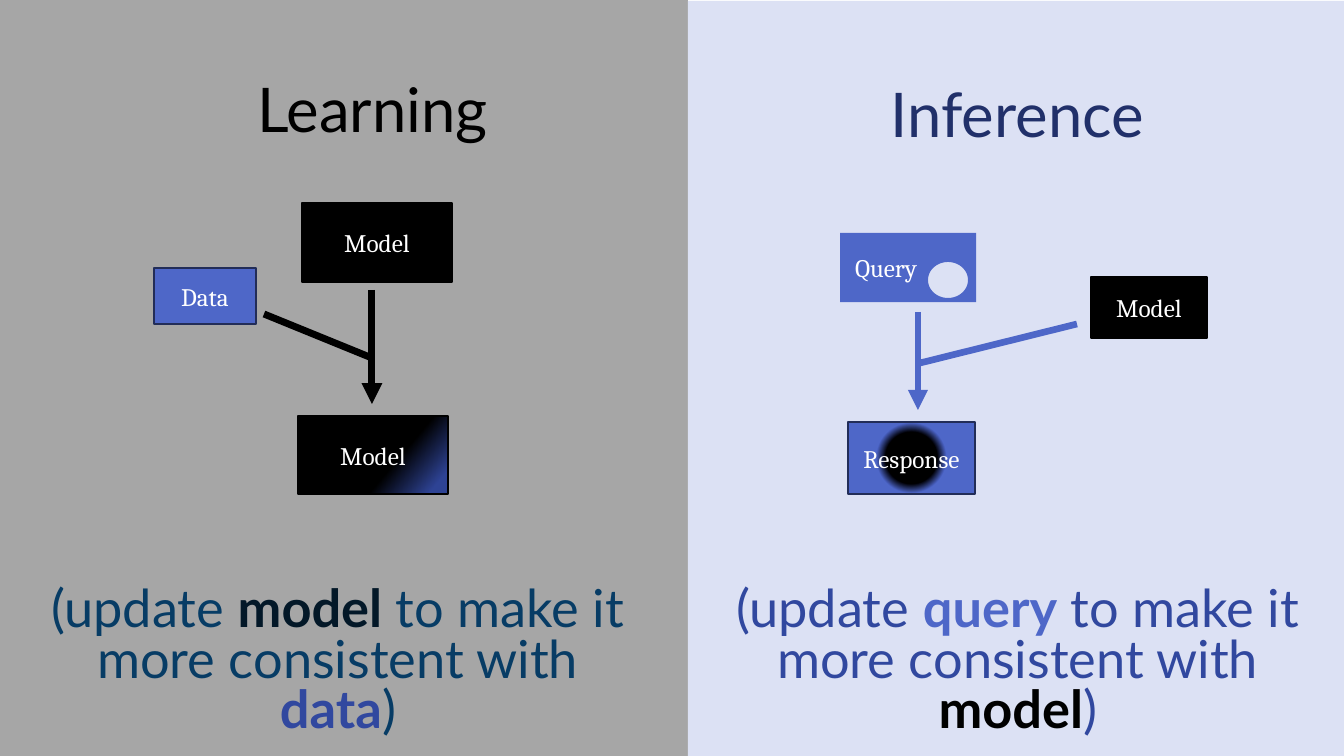
import math

from lxml import etree
from pptx import Presentation
from pptx.dml.color import RGBColor
from pptx.enum.shapes import MSO_CONNECTOR, MSO_SHAPE
from pptx.enum.text import MSO_ANCHOR, PP_ALIGN
from pptx.oxml.ns import qn
from pptx.util import Pt

RECT = MSO_SHAPE.RECTANGLE
STRAIGHT = MSO_CONNECTOR.STRAIGHT
MIDDLE = MSO_ANCHOR.MIDDLE
LEFT, CENTER = PP_ALIGN.LEFT, PP_ALIGN.CENTER

BLACK = RGBColor(0x00, 0x00, 0x00)
WHITE = RGBColor(0xFF, 0xFF, 0xFF)
GREY = RGBColor(0xA6, 0xA6, 0xA6)
PALE = RGBColor(0xDC, 0xE1, 0xF4)
BLUE = RGBColor(0x4E, 0x67, 0xC8)
EDGE = RGBColor(0x22, 0x2D, 0x58)
NAVY = RGBColor(0x21, 0x30, 0x6A)
DEEP = RGBColor(0x2E, 0x43, 0x94)
INDIGO = RGBColor(0x31, 0x48, 0x9F)
TEAL = RGBColor(0x07, 0x3C, 0x65)
INK = RGBColor(0x03, 0x18, 0x28)

HEAD_FONT, BOX_FONT = "Lato", "Cambria"
PX = 914400 / 100.8

PANELS = [((0, 0, 688, 756), GREY), ((688, 1, 656, 755), PALE)]
HEADINGS = [
    ("Learning", (93, 40, 559, 146), BLACK),
    ("Inference", (738, 45, 559, 146), NAVY),
]
BOXES = [
    ("Data", (154, 268, 102, 56), [(0, BLUE)], EDGE),
    ("Model", (302, 203, 150, 79), [(0, BLACK)], BLACK),
    ("Model", (1091, 277, 116, 61), [(0, BLACK)], BLACK),
    ("Model", (298, 416, 150, 78), [(0.63, BLACK), (0.91, DEEP)], BLACK),
    ("Response", (848, 422, 127, 72), [(0.35, BLACK), (0.48, BLUE)], EDGE),
]
RADIAL_BOX = "Response"
QUERY = ("Query", (840, 233, 136, 69))
QUERY_HOLE = (948, 280, 20, 18)
QUERY_INSET = 15
LINES = [
    ((372, 290), (372, 404), BLACK, 5, True),
    ((264, 314), (372, 358), BLACK, 5, False),
    ((918, 312), (918, 410), BLUE, 4.75, True),
    ((1077, 324), (920, 363), BLUE, 4.75, False),
]
CAPTIONS = [
    ((26, 590, 624, 146), TEAL, ("model", INK), ("data", INDIGO)),
    ((706, 590, 624, 146), INDIGO, ("query", BLUE), ("model", BLACK)),
]


def emu(*lengths):
    return [round(v * PX) for v in lengths]


def write(sp, runs, font, size, align=CENTER, spacing=None):
    tf = sp.text_frame
    tf.word_wrap = True
    tf.vertical_anchor = MIDDLE
    p = tf.paragraphs[0]
    p.alignment = align
    if spacing:
        p.line_spacing = spacing
    for text, color, bold in runs:
        r = p.add_run()
        r.text = text
        r.font.name = font
        r.font.size = Pt(size)
        r.font.bold = bold
        r.font.color.rgb = color


def paint(sp, color, edge=None):
    sp.shadow.inherit = False
    sp.fill.solid()
    sp.fill.fore_color.rgb = color
    if edge is None:
        sp.line.fill.background()
    else:
        sp.line.color.rgb = edge
        sp.line.width = Pt(1)


def blend(sp, stops, radial):
    sp.fill.gradient()
    for stop, (position, color) in zip(sp.fill.gradient_stops, stops):
        stop.position = position
        stop.color.rgb = color
    if radial:
        grad = sp._element.spPr.find(qn("a:gradFill"))
        lin = grad.find(qn("a:lin"))
        circle = etree.Element(qn("a:path"), {"path": "circle"})
        etree.SubElement(circle, qn("a:fillToRect"), {side: "50000" for side in "ltrb"})
        grad.replace(lin, circle)
    else:
        sp.fill.gradient_angle = 320


def add_query(s):
    text, (x, y, w, h) = QUERY
    cx, cy, rx, ry = QUERY_HOLE
    corners = [(x + w, y), (x + w, y + h), (x, y + h)]
    angles = [-math.tau * i / 72 for i in range(72)]
    hole = [(cx + rx * math.cos(a), cy + ry * math.sin(a)) for a in angles]
    fb = s.shapes.build_freeform(*emu(x, y))
    fb.add_line_segments([emu(*pt) for pt in corners], close=True)
    fb.move_to(*emu(*hole[0]))
    fb.add_line_segments([emu(*pt) for pt in hole[1:]], close=True)
    sp = fb.convert_to_shape()
    paint(sp, BLUE)
    sp.text_frame.margin_left = emu(QUERY_INSET)[0]
    write(sp, [(text, WHITE, False)], BOX_FONT, 18, LEFT)


def add_line(s, start, end, color, width, arrow):
    c = s.shapes.add_connector(STRAIGHT, *emu(*start, *end))
    c.line.color.rgb = color
    c.line.width = Pt(width)
    if arrow:
        etree.SubElement(c.line._get_or_add_ln(), qn("a:tailEnd"), {"type": "triangle"})
    etree.SubElement(c._element.spPr, qn("a:effectLst"))


def main():
    prs = Presentation()
    prs.slide_width, prs.slide_height = emu(1344, 756)
    s = prs.slides.add_slide(prs.slide_layouts[5])

    for box, color in PANELS:
        paint(s.shapes.add_shape(RECT, *emu(*box)), color)

    title = s.shapes.title
    s.shapes._spTree.append(title._element)
    for i, (text, box, color) in enumerate(HEADINGS):
        sp = s.shapes.add_textbox(0, 0, 0, 0) if i else title
        sp.left, sp.top, sp.width, sp.height = emu(*box)
        write(sp, [(text, color, False)], HEAD_FONT, 44, spacing=0.9)

    for text, box, stops, edge in BOXES:
        sp = s.shapes.add_shape(RECT, *emu(*box))
        paint(sp, stops[0][1], edge)
        if len(stops) > 1:
            blend(sp, stops, text == RADIAL_BOX)
        write(sp, [(text, WHITE, False)], BOX_FONT, 18)
    add_query(s)

    for line in LINES:
        add_line(s, *line)

    for box, color, (target, target_color), (guide, guide_color) in CAPTIONS:
        runs = [
            ("(update ", color, False),
            (target, target_color, True),
            (" to make it more consistent with ", color, False),
            (guide, guide_color, True),
            (")", color, False),
        ]
        write(s.shapes.add_textbox(*emu(*box)), runs, HEAD_FONT, 37.4, spacing=0.8)

    prs.save("out.pptx")


if __name__ == "__main__":
    main()
